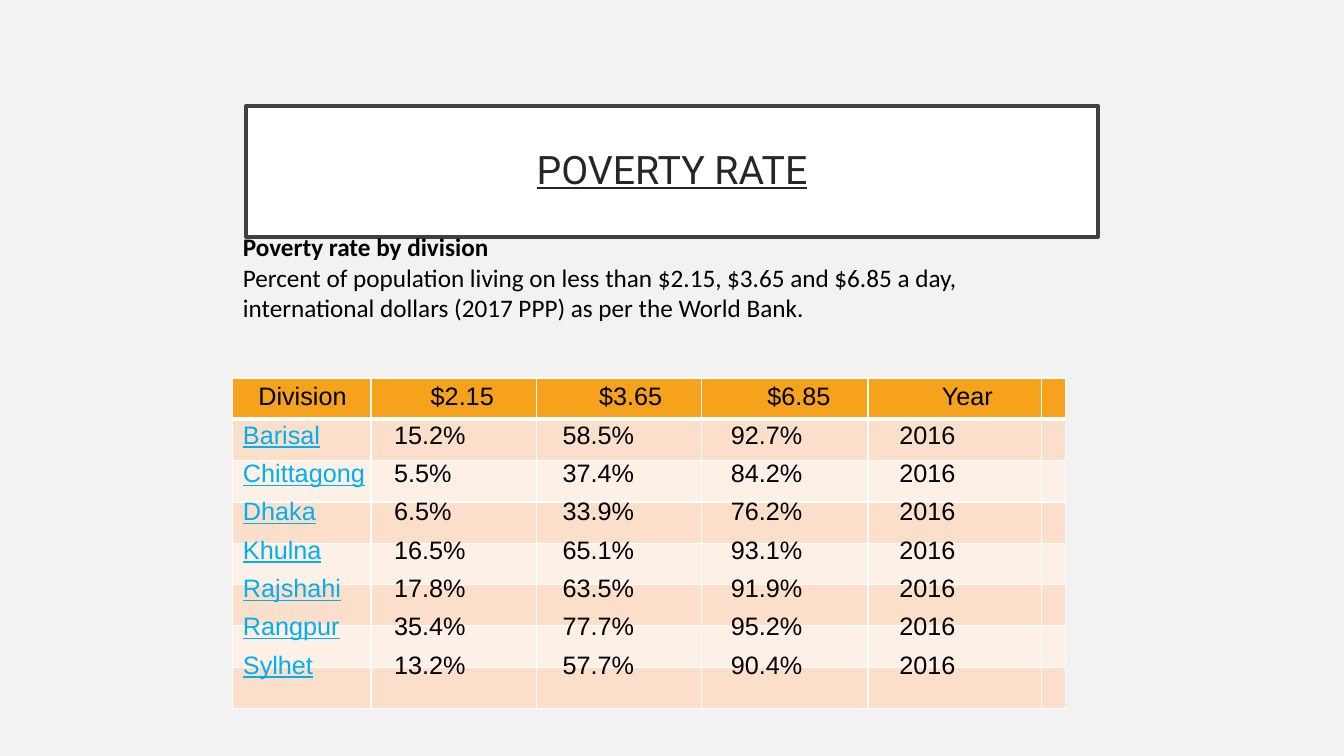
from lxml.etree import SubElement
from pptx import Presentation
from pptx.dml.color import RGBColor
from pptx.enum.text import MSO_ANCHOR, PP_ALIGN
from pptx.oxml.ns import qn
from pptx.util import Inches, Pt

COLORS = {name: RGBColor.from_string(value) for name, value in {
    "page": "F2F2F2", "white": "FFFFFF", "frame": "404040", "title": "262626",
    "header": "F6A21D", "dark band": "FBDFCB", "light band": "FDF0E7",
    "text": "000000", "division": "00B0F0",
}.items()}
NO_STYLE_NO_GRID = "{2D5ABB26-0587-4C30-8999-92F81FD0307C}"

LEFT = 2.31
TABLE_TOP = 3.75
BAND_HEIGHT = 0.41
RATE_HEIGHT = 0.38
BAND_COLUMNS = [1.37, 1.64, 1.64, 1.65, 1.72, 0.23]
RATE_COLUMNS = [1.5] + [1.67] * 4

RATES = [
    ("Division", "$2.15", "$3.65", "$6.85", "Year"),
    ("Barisal", "15.2%", "58.5%", "92.7%", "2016"),
    ("Chittagong", "5.5%", "37.4%", "84.2%", "2016"),
    ("Dhaka", "6.5%", "33.9%", "76.2%", "2016"),
    ("Khulna", "16.5%", "65.1%", "93.1%", "2016"),
    ("Rajshahi", "17.8%", "63.5%", "91.9%", "2016"),
    ("Rangpur", "35.4%", "77.7%", "95.2%", "2016"),
    ("Sylhet", "13.2%", "57.7%", "90.4%", "2016"),
]


def add_plain_table(page, columns, row_height):
    """Add an unstyled table with one row for each entry of RATES."""
    frame = page.shapes.add_table(
        len(RATES), len(columns), Inches(LEFT), Inches(TABLE_TOP),
        Inches(sum(columns)), Inches(row_height * len(RATES)))
    table = frame.table
    table.horz_banding = False
    table._tbl.tblPr.find(qn("a:tableStyleId")).text = NO_STYLE_NO_GRID
    for column, width in zip(table.columns, columns):
        column.width = Inches(width)
    for row in table.rows:
        row.height = Inches(row_height)
    return table


def add_border(cell, side, points):
    line = SubElement(cell._tc.get_or_add_tcPr(), qn(f"a:ln{side}"), w=str(Pt(points)))
    fill = SubElement(line, qn("a:solidFill"))
    SubElement(fill, qn("a:srgbClr"), val=str(COLORS["white"]))


deck = Presentation()
deck.slide_width, deck.slide_height = Inches(13.33), Inches(7.5)
page = deck.slides.add_slide(deck.slide_layouts[5])
page.background.fill.solid()
page.background.fill.fore_color.rgb = COLORS["page"]

# Title
title = page.shapes.title
title.left, title.top = Inches(2.44), Inches(1.05)
title.width, title.height = Inches(8.45), Inches(1.3)
title.fill.solid()
title.fill.fore_color.rgb = COLORS["white"]
title.line.color.rgb = COLORS["frame"]
title.line.width = Pt(2.5)
title.text_frame.vertical_anchor = MSO_ANCHOR.MIDDLE
title.text_frame.text = "POVERTY RATE"
para = title.text_frame.paragraphs[0]
para.alignment = PP_ALIGN.CENTER
para.line_spacing = 0.9
para.font.name, para.font.size = "Roboto", Pt(28)
para.font.underline = True
para.font.color.rgb = COLORS["title"]

# Coloured bands behind the rates
bands = add_plain_table(page, BAND_COLUMNS, BAND_HEIGHT)
for row_index, row in enumerate(bands.rows):
    band = "header" if row_index == 0 else "dark band" if row_index % 2 else "light band"
    for cell in row.cells:
        add_border(cell, "L", 1)
        add_border(cell, "R", 1)
        add_border(cell, "T", 3 if row_index == 1 else 1)
        add_border(cell, "B", 3 if row_index == 0 else 1)
        cell.fill.solid()
        cell.fill.fore_color.rgb = COLORS[band]

# Poverty rates
rates = add_plain_table(page, RATE_COLUMNS, RATE_HEIGHT)
for row_index, values in enumerate(RATES):
    for column_index, value in enumerate(values):
        is_header = row_index == 0
        is_division = column_index == 0 and not is_header
        cell = rates.cell(row_index, column_index)
        cell.fill.background()
        cell.vertical_anchor = MSO_ANCHOR.MIDDLE
        cell.margin_right = Inches(0.22 if is_header else 0.1)
        cell.text = value
        para = cell.text_frame.paragraphs[0]
        para.alignment = PP_ALIGN.CENTER if is_header else PP_ALIGN.LEFT
        para.font.name, para.font.size = "Arial", Pt(18)
        para.font.bold = False
        para.font.underline = is_division
        para.font.color.rgb = COLORS["division" if is_division else "text"]

# Explanation between title and table
box = page.shapes.add_textbox(Inches(LEFT), Inches(2.25), Inches(8.58), Inches(1.01))
box.text_frame.word_wrap = True
box.text_frame.text = (
    "Poverty rate by division\n"
    "Percent of population living on less than $2.15, $3.65 and $6.85 a day, "
    "international dollars (2017 PPP) as per the World Bank.")
for para in box.text_frame.paragraphs:
    para.font.name, para.font.size = "Calibri", Pt(18)
    para.font.color.rgb = COLORS["text"]
box.text_frame.paragraphs[0].font.bold = True

deck.save("out.pptx")
